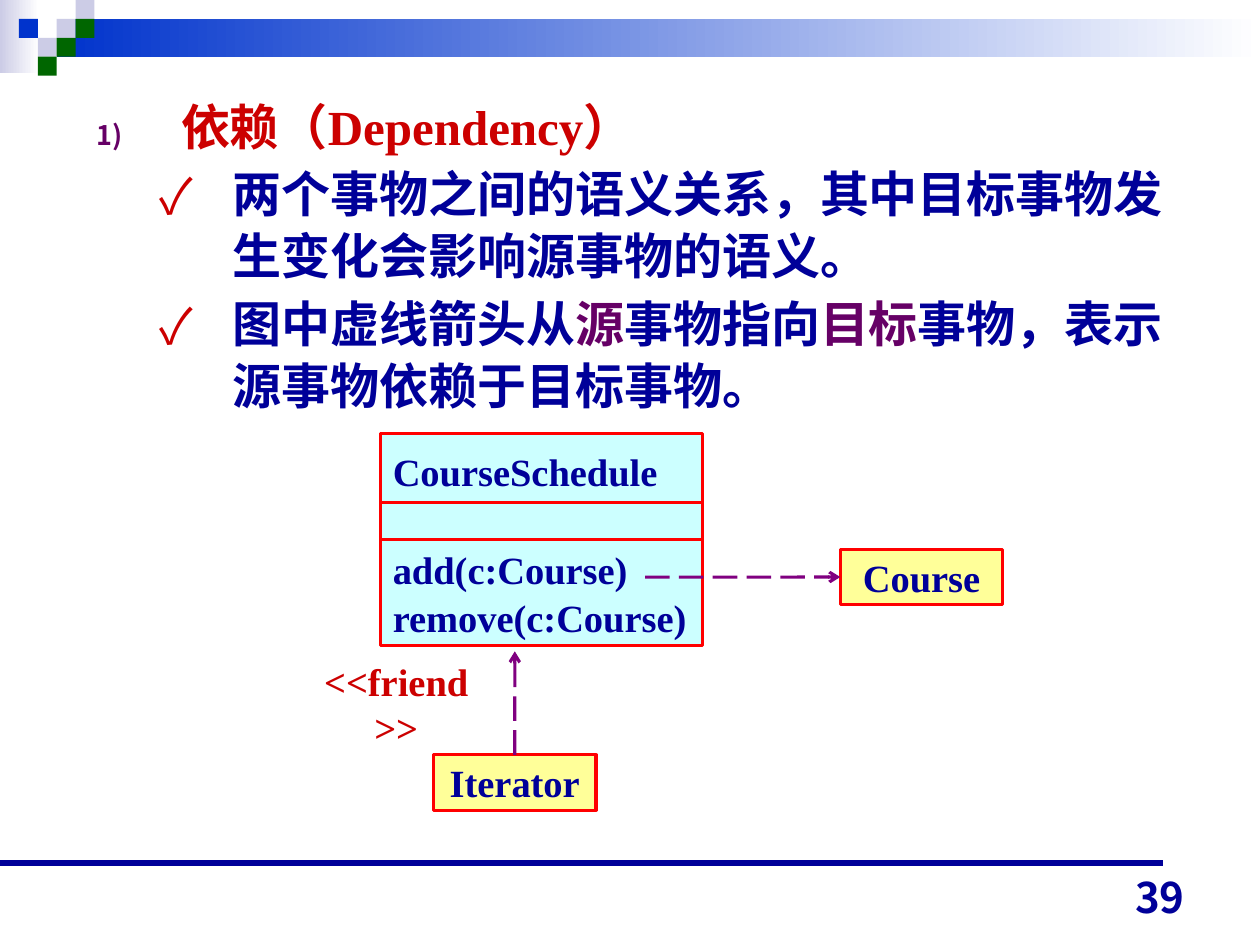
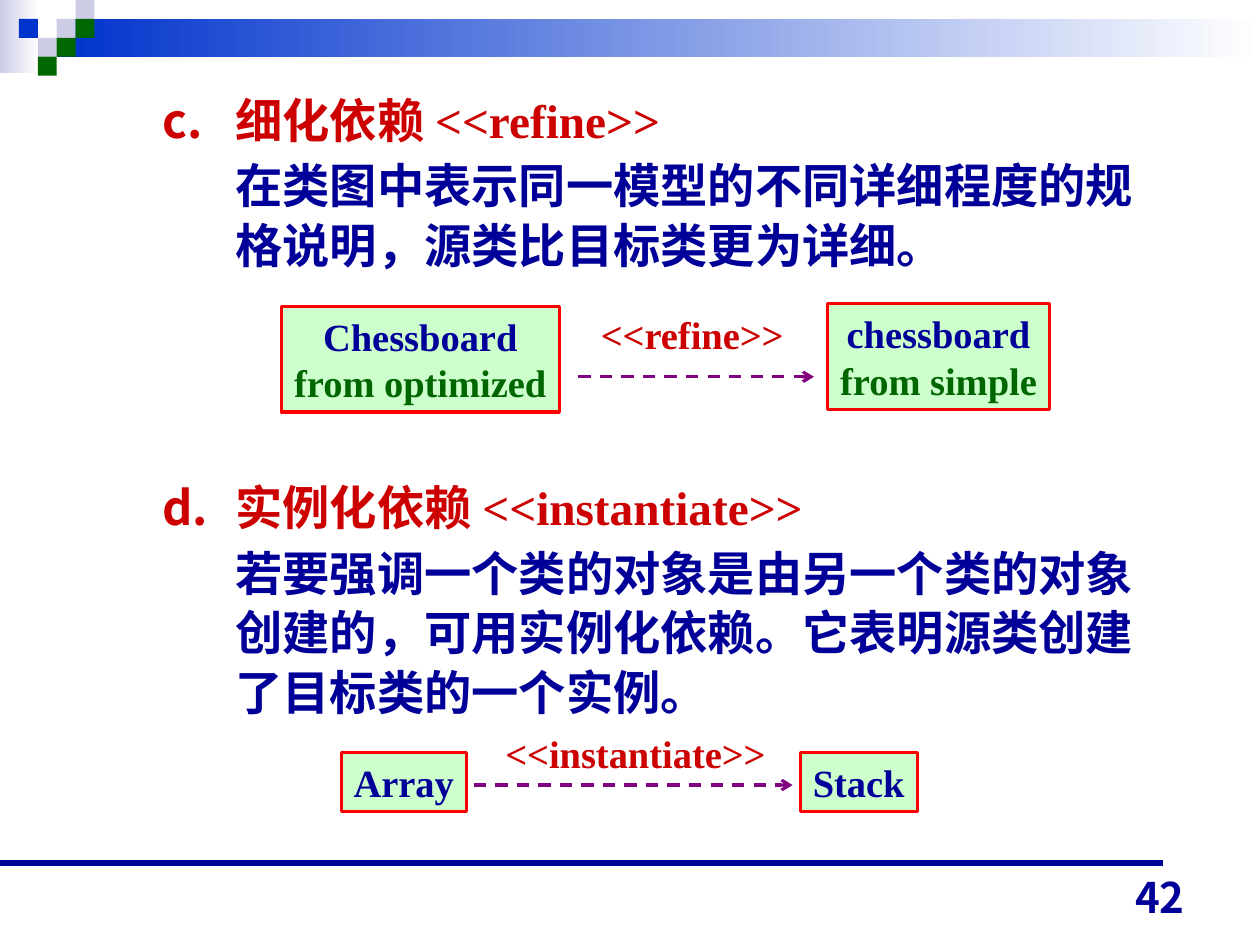
from dataclasses import dataclass

from lxml import etree
from pptx import Presentation
from pptx.dml.color import RGBColor
from pptx.enum.dml import MSO_LINE
from pptx.enum.shapes import MSO_CONNECTOR, MSO_SHAPE
from pptx.enum.text import MSO_ANCHOR, PP_ALIGN
from pptx.oxml.ns import qn
from pptx.util import Pt

RECTANGLE = MSO_SHAPE.RECTANGLE
STRAIGHT = MSO_CONNECTOR.STRAIGHT
LEFT, CENTER, RIGHT = PP_ALIGN.LEFT, PP_ALIGN.CENTER, PP_ALIGN.RIGHT
TOP, MIDDLE, BOTTOM = MSO_ANCHOR.TOP, MSO_ANCHOR.MIDDLE, MSO_ANCHOR.BOTTOM
DASH, LONG_DASH = MSO_LINE.DASH, MSO_LINE.LONG_DASH
TOP_SIDE, LEFT_SIDE, RIGHT_SIDE = 0, 1, 3


@dataclass(frozen=True)
class Theme:
    white: str = "FFFFFF"
    navy: str = "000099"
    blue: str = "0033CC"
    lavender: str = "CCCCE6"
    green: str = "006600"
    plum: str = "660066"
    purple: str = "800080"
    crimson: str = "CC0000"
    red: str = "FF0000"
    cyan_fill: str = "CCFFFF"
    yellow_fill: str = "FFFF99"
    green_fill: str = "CCFFCC"
    latin_font: str = "Times New Roman"
    asian_font: str = "Noto Sans CJK JP"
    dependency_size: float = 28
    refinement_size: float = 27
    diagram_size: float = 22
    number_size: float = 24
    thin: float = 1.75
    thick: float = 3.5
    line_spacing: float = 1.05


theme = Theme()


def add_text(slide, place, lines, size=theme.diagram_size, align=CENTER, anchor=MIDDLE,
             fill=None, wrap=False, font=theme.latin_font):
    """Add a text box, outlined when filled; each line is a list of (text, colour) runs."""
    position = [Pt(length) for length in place]
    if fill:
        shape = slide.shapes.add_shape(RECTANGLE, *position)
        shape.shadow.inherit = False
        shape.fill.solid()
        shape.fill.fore_color.rgb = RGBColor.from_string(fill)
        shape.line.color.rgb = RGBColor.from_string(theme.red)
        shape.line.width = Pt(theme.thin)
    else:
        shape = slide.shapes.add_textbox(*position)
    frame = shape.text_frame
    frame.word_wrap = wrap
    frame.vertical_anchor = anchor
    for index, runs in enumerate(lines):
        paragraph = frame.paragraphs[0] if index == 0 else frame.add_paragraph()
        paragraph.alignment = align
        for text, color in runs:
            run = paragraph.add_run()
            run.text = text
            run.font.size = Pt(size)
            run.font.bold = True
            run.font.name = font
            run.font.color.rgb = RGBColor.from_string(color)
            etree.SubElement(run.font._element, qn("a:ea"), typeface=theme.asian_font)
    return shape


def add_line(slide, start, end, color, width=theme.thin, dash=None):
    """Add a straight line; a dashed one is a dependency and gets an arrowhead."""
    line = slide.shapes.add_connector(STRAIGHT, *[Pt(length) for length in (*start, *end)])
    line.line.color.rgb = RGBColor.from_string(color)
    line.line.width = Pt(width)
    if dash:
        line.line.dash_style = dash
        etree.SubElement(line.line._get_or_add_ln(), qn("a:tailEnd"), type="arrow")
    etree.SubElement(line._element.spPr, qn("a:effectLst"))
    return line


presentation = Presentation()
presentation.slide_width = Pt(720)
presentation.slide_height = Pt(540)

# Shared frame: gradient bands, checker squares, footer rule and page number
cell = 10.8
bands = [((0, 0, 22.3, 41.8), theme.lavender), ((32.4, cell, 687.6, 2 * cell), theme.blue)]
squares = [(3, 1, theme.lavender), (4, 0, theme.lavender), (4, 1, theme.green),
           (2, 2, theme.lavender), (1, 1, theme.blue), (3, 2, theme.green), (2, 3, theme.green)]
slides = []
for number in ("39", "42"):
    slide = presentation.slides.add_slide(presentation.slide_layouts[6])
    for place, color in bands:
        band = slide.shapes.add_shape(RECTANGLE, *[Pt(length) for length in place])
        band.shadow.inherit = False
        band.line.fill.background()
        band.fill.gradient()
        band.fill.gradient_angle = 0
        for stop, stop_color in zip(band.fill.gradient_stops, (color, theme.white)):
            stop.color.rgb = RGBColor.from_string(stop_color)
    for column, row, color in squares:
        square = slide.shapes.add_shape(RECTANGLE, Pt(column * cell), Pt(row * cell),
                                        Pt(cell), Pt(cell))
        square.shadow.inherit = False
        square.line.fill.background()
        square.fill.solid()
        square.fill.fore_color.rgb = RGBColor.from_string(color)
    add_line(slide, (0, 493.2), (664.6, 493.2), theme.navy, theme.thick)
    add_text(slide, (516.2, 494.6, 167.8, 36), [[(number, theme.navy)]], theme.number_size,
             RIGHT, BOTTOM, wrap=True, font=theme.asian_font)
    slides.append(slide)
dependency_slide, refinement_slide = slides

# Body text: each paragraph has its runs, bullet, left margin, indent and space before
number_bullet = ("buAutoNum", {"type": "arabicParenR"}, theme.plum, 55)
check_bullet = ("buChar", {"char": "✓"}, theme.crimson, 100)
letter_bullets = [("buAutoNum", {"type": "alphaLcPeriod", "startAt": start}, theme.crimson, 100)
                  for start in ("3", "4")]
bodies = [
    (dependency_slide, (48.2, 49.7, 632.2, 221), theme.dependency_size, [
        ([("依赖（Dependency）", theme.crimson)], number_bullet, 48.2, -48.2, 0),
        ([("两个事物之间的语义关系，其中目标事物发生变化会影响源事物的语义。", theme.navy)],
         check_bullet, 77.8, -41.8, 3.5),
        ([("图中虚线箭头从", theme.navy), ("源", theme.plum), ("事物指向", theme.navy),
          ("目标", theme.plum), ("事物，表示源事物依赖于目标事物。", theme.navy)],
         check_bullet, 77.8, -41.8, 3.5),
    ]),
    (refinement_slide, (49.7, 46.8, 624.2, 368.6), theme.refinement_size, [
        ([("细化依赖 <<refine>>", theme.crimson)], letter_bullets[0], 77.8, -41.8, 0),
        ([("在类图中表示同一模型的不同详细程度的规格说明，源类比目标类更为详细。", theme.navy)],
         None, 77.8, 0, 3.4),
        ([("实例化依赖 <<instantiate>>", theme.crimson)], letter_bullets[1], 77.8, -41.8, 116),
        ([("若要强调一个类的对象是由另一个类的对象创建的，可用实例化依赖。"
           "它表明源类创建了目标类的一个实例。", theme.navy)], None, 77.8, 0, 3.4),
    ]),
]
for slide, place, size, items in bodies:
    body = add_text(slide, place, [item[0] for item in items], size, LEFT, TOP, wrap=True)
    for paragraph, (_, bullet, margin, indent, space) in zip(body.text_frame.paragraphs, items):
        paragraph.line_spacing = theme.line_spacing
        paragraph.space_before = Pt(space)
        properties = paragraph._p.get_or_add_pPr()
        properties.set("marL", str(Pt(margin)))
        properties.set("indent", str(Pt(indent)))
        if bullet:
            tag, attributes, color, percent = bullet
            bullet_color = etree.SubElement(properties, qn("a:buClr"))
            etree.SubElement(bullet_color, qn("a:srgbClr"), val=color)
            etree.SubElement(properties, qn("a:buSzPct"), val=str(percent * 1000))
            etree.SubElement(properties, qn("a:buFont"), typeface=theme.asian_font)
            etree.SubElement(properties, qn("a:" + tag), attributes)

# Class diagram of the dependency slide
members = ["CourseSchedule", "add(c:Course)", "remove(c:Course)"]
schedule = add_text(dependency_slide, (217.4, 247.7, 184.3, 121),
                    [[(member, theme.navy)] for member in members],
                    align=LEFT, anchor=TOP, fill=theme.cyan_fill)
schedule.text_frame.margin_top = schedule.text_frame.margin_bottom = Pt(7.2)
for paragraph in schedule.text_frame.paragraphs:
    paragraph.line_spacing = theme.line_spacing
schedule.text_frame.paragraphs[1].space_before = Pt(28)
add_line(dependency_slide, (217.4, 287.3), (401.7, 287.3), theme.red)
divider = add_line(dependency_slide, (217.4, 308.2), (401.7, 308.2), theme.red)
divider.begin_connect(schedule, LEFT_SIDE)
divider.end_connect(schedule, RIGHT_SIDE)

course, iterator = [
    add_text(dependency_slide, (left, top, 92.9, 31.7), [[(name, theme.navy)]],
             fill=theme.yellow_fill)
    for name, left, top in (("Course", 480.2, 313.9), ("Iterator", 247.7, 431.3))]
uses_course = add_line(dependency_slide, (368.6, 329.8), (480.2, 329.8), theme.purple,
                       dash=LONG_DASH)
uses_course.end_connect(course, LEFT_SIDE)
friend = add_line(dependency_slide, (294.2, 431.3), (294.2, 372.2), theme.purple, dash=LONG_DASH)
friend.begin_connect(iterator, TOP_SIDE)
add_text(dependency_slide, (172.8, 386.6, 107.3, 31.7), [[("<<friend>>", theme.crimson)]])

# Refine and instantiate diagrams
class_boxes = [
    ((160.6, 175, 159.1, 60.5), ["Chessboard", "from optimized"]),
    ((473, 173.5, 126.7, 60.5), ["chessboard", "from simple"]),
    ((195.1, 429.8, 71.3, 33.8), ["Array"]),
    ((457.2, 429.8, 67, 33.8), ["Stack"]),
]
for place, names in class_boxes:
    lines = [[(name, color)] for name, color in zip(names, (theme.navy, theme.green))]
    add_text(refinement_slide, place, lines, fill=theme.green_fill)

stereotypes = [
    ("<<refine>>", (336.2, 174.2, 118.8, 33.8), 330.5, 465.1, 215.3),
    ("<<instantiate>>", (281.5, 413.3, 163.4, 33.8), 270.7, 452.9, 448.6),
]
for label, place, start, end, height in stereotypes:
    add_line(refinement_slide, (start, height), (end, height), theme.purple, dash=DASH)
    add_text(refinement_slide, place, [[(label, theme.crimson)]])

presentation.save("out.pptx")
